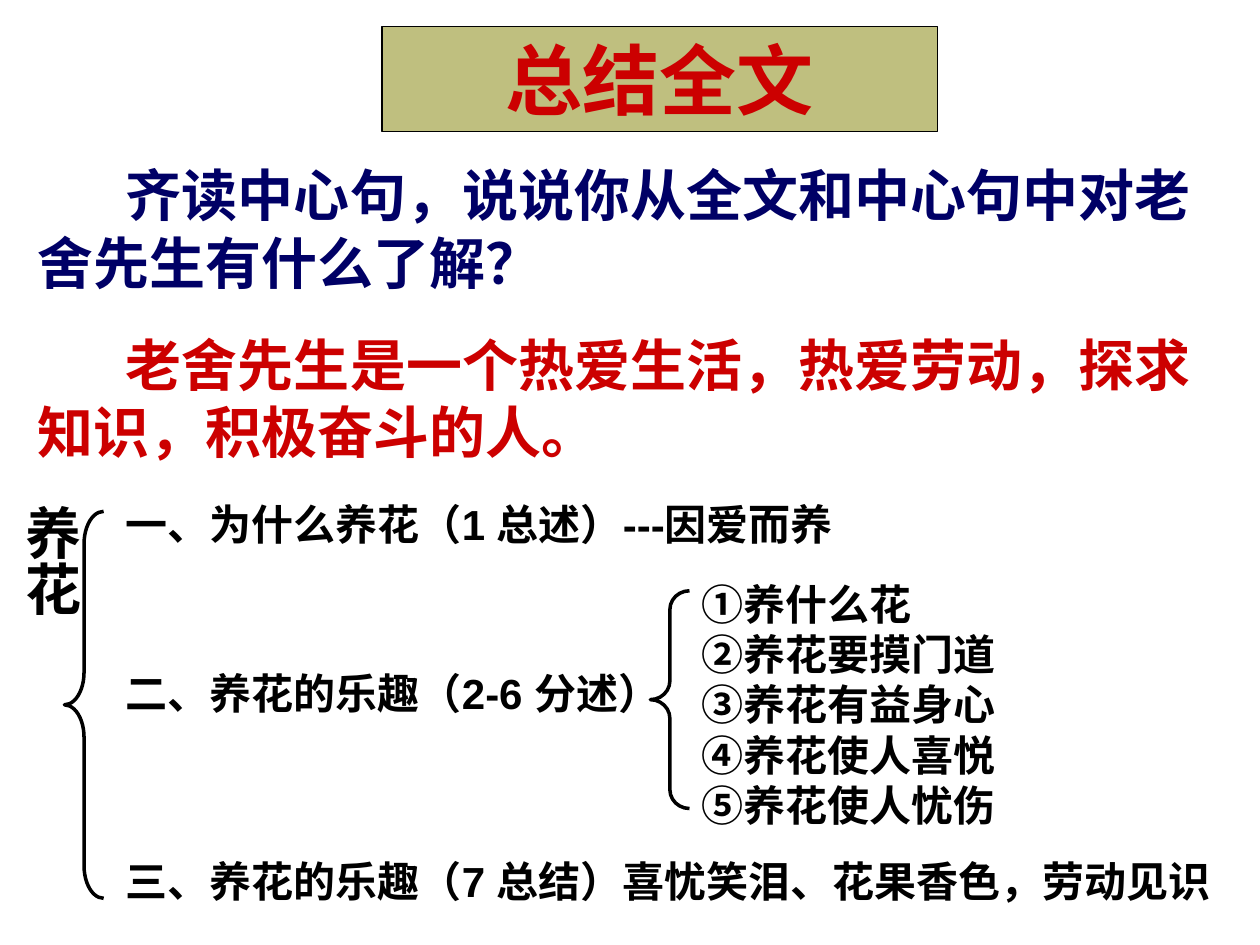
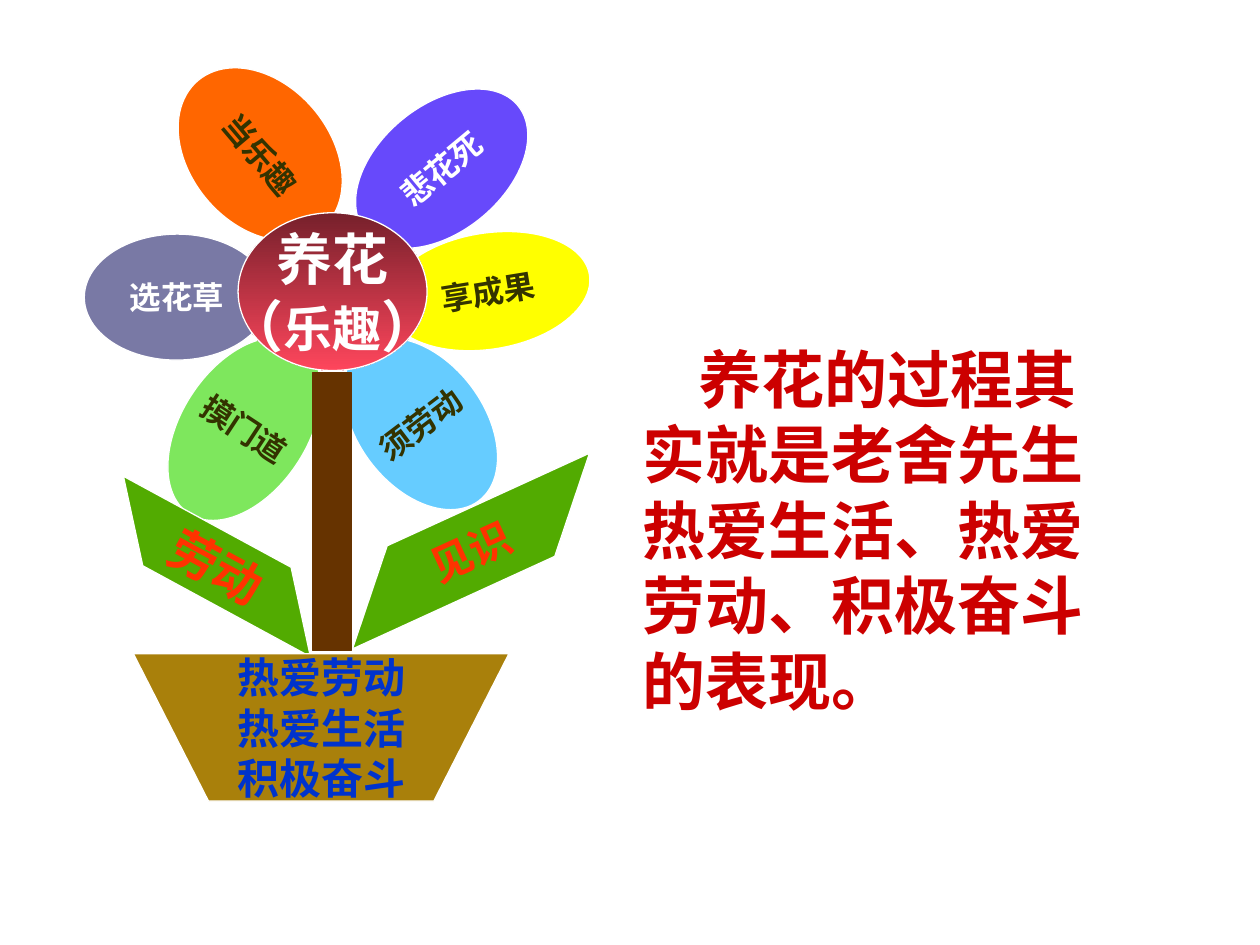
"""Build two slides that sum up a lesson on growing flowers."""
from dataclasses import dataclass
from lxml.etree import SubElement
from pptx import Presentation
from pptx.dml.color import RGBColor
from pptx.enum.shapes import MSO_SHAPE as Shape
from pptx.enum.text import MSO_ANCHOR as Anchor, PP_ALIGN as Align
from pptx.oxml.ns import qn
from pptx.util import Cm, Pt


@dataclass(frozen=True)
class Theme:
    latin: str = "Arial"
    cjk: str = "Noto Sans CJK SC"
    black: str = "000000"
    white: str = "FFFFFF"
    navy: str = "000066"
    red: str = "CC0000"
    olive: str = "808000"
    dark: str = "333300"
    orange: str = "FF6600"
    slate: str = "7979A5"
    lime: str = "7EE75D"
    sky: str = "66CCFF"
    yellow: str = "FFFF00"
    violet: str = "6749FB"
    wine: str = "76202B"
    rose: str = "FE465C"
    leaf: str = "52AB01"
    leaf_text: str = "FF3300"
    clay: str = "A9800B"
    pot_text: str = "0033CC"
    bark: str = "663300"
    title: int = 44
    large: int = 36
    lead: int = 32
    mid: int = 28
    body: int = 24
    petal: int = 18


T = Theme()


def add_shape(slide, kind, box, fill, line, weight=0.75, angle=0):
    s = slide.shapes.add_shape(kind, *map(Cm, box))
    s.shadow.inherit = False
    s.rotation = angle
    if fill:
        s.fill.solid()
        s.fill.fore_color.rgb = RGBColor.from_string(fill)
    else:
        s.fill.background()
    s.line.color.rgb = RGBColor.from_string(line)
    s.line.width = Pt(weight)
    return s


def write(s, paras, align=Align.LEFT, latin=T.latin, wrap=True, before=0, indent=0):
    tf = s.text_frame
    tf.word_wrap = wrap
    for i, runs in enumerate(paras):
        p = tf.add_paragraph() if i else tf.paragraphs[0]
        p.alignment = align
        if i and before:
            p.space_before = Pt(before)
        if indent:
            p._p.get_or_add_pPr().set("indent", str(Cm(indent)))
        for text, size, color in runs:
            r = p.add_run()
            r.text = text
            r.font.size = Pt(size)
            r.font.bold = True
            r.font.color.rgb = RGBColor.from_string(color)
            r.font.name = latin
            SubElement(r._r.get_or_add_rPr(), qn("a:ea"), typeface=T.cjk)


prs = Presentation()
prs.slide_width, prs.slide_height = Cm(25.4), Cm(19.05)
blank = prs.slide_layouts[6]

slide = prs.slides.add_slide(blank)
s = slide.shapes.add_textbox(Cm(0.51), Cm(3.12), Cm(24.41), Cm(6.38))
write(s, [
    [("齐读中心句，说说你从全文和中心句中对老舍先生有什么了解？", T.lead, T.navy)],
    [("老舍先生是一个热爱生活，热爱劳动，探求知识，积极奋斗的人。", T.lead, T.red)],
], before=20, indent=1.78)

s = add_shape(slide, Shape.RECTANGLE, (7.7, 0.53, 11.2, 2.13), T.olive, T.black)
SubElement(s.fill._xPr.find(".//" + qn("a:srgbClr")), qn("a:alpha"), val="50000")
write(s, [[("总结全文", T.title, T.red)]], Align.CENTER, T.cjk)

s = slide.shapes.add_textbox(Cm(0), Cm(9.93), Cm(1.85), Cm(8))
tf = s.text_frame
tf.margin_left = tf.margin_right = Cm(0.13)
tf.margin_top = tf.margin_bottom = Cm(0.25)
tf._txBody.bodyPr.set("vert", "eaVert")
write(s, [[("养花", T.lead, T.black)]], Align.CENTER)

for box, curl in (((1.3, 10.31, 0.79, 7.8), 0.83), ((13.11, 11.91, 0.79, 4.39), 0.48)):
    s = add_shape(slide, Shape.LEFT_BRACE, box, None, T.black, 2)
    s.adjustments[0] = curl

for top, width, heading in (
    (9.93, 21.62, "一、为什么养花（1 总述）---因爱而养"),
    (13.34, 21.62, "二、养花的乐趣（2-6 分述）"),
    (17.12, 23.8, "三、养花的乐趣（7 总结）喜忧笑泪、花果香色，劳动见识"),
):
    s = slide.shapes.add_textbox(Cm(2.29), Cm(top), Cm(width), Cm(1.27))
    write(s, [[(heading, T.body, T.black)]])

points = ("①养什么花", "②养花要摸门道", "③养花有益身心", "④养花使人喜悦", "⑤养花使人忧伤")
s = slide.shapes.add_textbox(Cm(13.89), Cm(11.53), Cm(9.6), Cm(5.33))
write(s, [[(point, T.body, T.black)] for point in points], latin=T.cjk)

slide = prs.slides.add_slide(blank)
s = slide.shapes.add_textbox(Cm(12.7), Cm(6.73), Cm(9.6), Cm(7.87))
write(s, [[("养花的过程其实就是老舍先生热爱生活、热爱劳动、积极奋斗的表现。", T.large, T.red)]],
      latin=T.cjk, indent=1.14)

for label, box, angle, fill, color in (
    ("当乐趣", (3.3, 1.7, 3.89, 2.82), 49.8, T.orange, T.dark),
    ("选花草", (1.7, 4.72, 3.73, 2.54), 359.7, T.slate, T.white),
    ("摸门道", (3.66, 6.6, 2.54, 4.09), 33.3, T.lime, T.dark),
    ("须劳动", (7.21, 6.6, 2.54, 3.89), 322.8, T.sky, T.dark),
    ("享成果", (7.77, 4.7, 4.14, 2.34), 350.8, T.yellow, T.dark),
    ("悲花死", (6.91, 2.13, 3.99, 2.54), 320.3, T.violet, T.white),
):
    s = add_shape(slide, Shape.OVAL, box, fill, T.white, angle=angle)
    write(s, [[(label, T.petal, color)]], Align.CENTER, wrap=False)

s = add_shape(slide, Shape.OVAL, (4.8, 4.29, 3.81, 3.18), T.wine, T.white)
s.fill.gradient()
s.fill.gradient_angle = 270
for stop, color in zip(s.fill.gradient_stops, (T.wine, T.rose)):
    stop.color.rgb = RGBColor.from_string(color)
write(s, [
    [("养花", T.lead, T.white)],
    [("（", T.lead, T.white), ("乐趣", T.mid, T.white), ("）", T.lead, T.white)],
], Align.CENTER, wrap=False)

for label, box, angle, slant, size, flip in (
    ("劳动", (1.85, 10.72, 5.05, 1.4), 28.5, 0.86, T.mid, True),
    ("见识", (6.5, 10.31, 5.99, 1.6), 335.4, 0.94, T.body, False),
):
    s = add_shape(slide, Shape.PARALLELOGRAM, box, T.leaf, T.white, angle=angle)
    s.adjustments[0] = slant
    if flip:
        s._element.spPr.xfrm.set("flipH", "1")
    write(s, [[(label, size, T.leaf_text)]], Align.CENTER, wrap=False)

s = add_shape(slide, Shape.FLOWCHART_MANUAL_OPERATION, (2.69, 13.18, 7.57, 2.97), T.clay, T.white)
s.text_frame.vertical_anchor = Anchor.MIDDLE
write(s, [[(line, T.body, T.pot_text)] for line in ("热爱劳动", "热爱生活", "积极奋斗")],
      Align.CENTER, wrap=False)

add_shape(slide, Shape.RECTANGLE, (6.3, 7.52, 0.79, 5.59), T.bark, T.bark)

prs.save("out.pptx")
